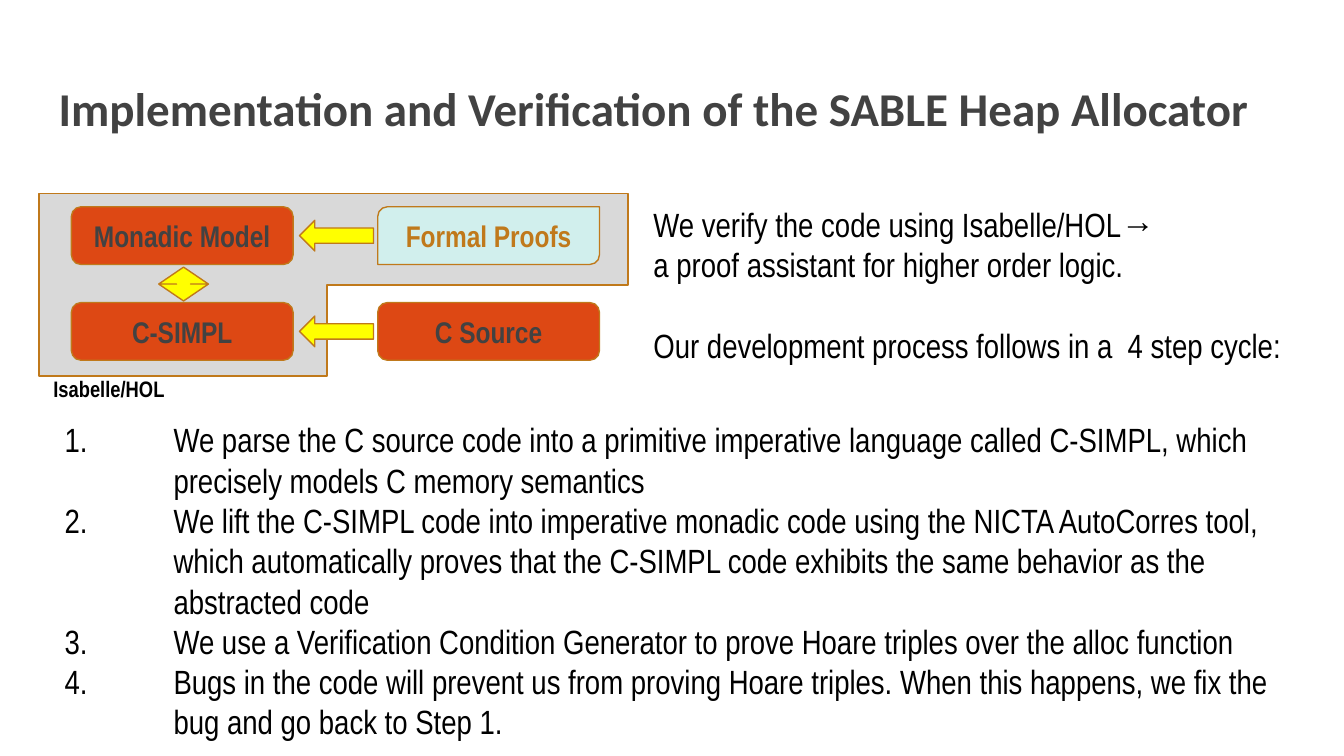
from lxml import etree
from pptx import Presentation
from pptx.dml.color import RGBColor
from pptx.enum.shapes import MSO_SHAPE
from pptx.enum.text import MSO_ANCHOR, PP_ALIGN
from pptx.oxml.ns import qn
from pptx.util import Cm, Pt

ROUNDED = MSO_SHAPE.ROUNDED_RECTANGLE
DIAGONAL = MSO_SHAPE.ROUND_2_DIAG_RECTANGLE
LEFT_ARROW = MSO_SHAPE.LEFT_ARROW
UP_DOWN_ARROW = MSO_SHAPE.UP_DOWN_ARROW
MIDDLE = MSO_ANCHOR.MIDDLE
LEFT, CENTER = PP_ALIGN.LEFT, PP_ALIGN.CENTER

COLORS = {
    "title": "424242",
    "text": "000000",
    "frame": "D9D9D9",
    "outline": "C0791B",
    "model": "DD4814",
    "proof": "D1EFED",
    "arrow": "FFFF00",
}
BODY_FONT = "Arial Narrow"
STEPS = [
    "We parse the C source code into a primitive imperative language called "
    "C-SIMPL, which precisely models C memory semantics",
    "We lift the C-SIMPL code into imperative monadic code using the NICTA "
    "AutoCorres tool, which automatically proves that the C-SIMPL code exhibits "
    "the same behavior as the abstracted code",
    "We use a Verification Condition Generator to prove Hoare triples over the "
    "alloc function",
    "Bugs in the code will prevent us from proving Hoare triples. When this "
    "happens, we fix the bug and go back to Step 1.",
]


def color(name):
    """Return the named colour."""
    return RGBColor.from_string(COLORS[name])


def style_text(paragraph, size, ink="text", bold=False, font=BODY_FONT, align=LEFT):
    """Set the font and alignment of a paragraph."""
    paragraph.alignment = align
    paragraph.font.name = font
    paragraph.font.size = Pt(size)
    paragraph.font.bold = bold
    paragraph.font.color.rgb = color(ink)


def paint(shape, fill):
    """Fill and outline a diagram part."""
    shape.shadow.inherit = False
    shape.fill.solid()
    shape.fill.fore_color.rgb = color(fill)
    shape.line.color.rgb = color("outline")
    shape.line.width = Pt(0.75)


def add_part(slide, kind, left, top, width, height, fill):
    """Add a painted preset shape, measured in centimetres."""
    part = slide.shapes.add_shape(kind, Cm(left), Cm(top), Cm(width), Cm(height))
    paint(part, fill)
    return part


def add_paragraphs(slide, box, texts, size, **style):
    """Add a wrapping text box with one paragraph per text."""
    frame = slide.shapes.add_textbox(*map(Cm, box)).text_frame
    frame.word_wrap = True
    frame.text = "\n".join(texts)
    for paragraph in frame.paragraphs:
        style_text(paragraph, size, **style)
    return frame.paragraphs


def add_title(slide, box):
    """Place and format the slide title."""
    title = slide.shapes.title
    title.left, title.top, title.width, title.height = map(Cm, box)
    frame = title.text_frame
    frame.text = "Implementation and Verification of the SABLE Heap Allocator"
    frame.vertical_anchor = MIDDLE
    frame.margin_left = frame.margin_right = Cm(0.25)
    style_text(frame.paragraphs[0], 25.2, "title", True, "Calibri")


def add_diagram(slide, box):
    """Draw the proof tool frame with its models, sources and arrows."""
    left, top, width, height = box
    stem_width, band_height = 5.44, 1.73
    corners = [
        (width, 0), (width, band_height), (stem_width, band_height),
        (stem_width, height), (0, height),
    ]
    outline = slide.shapes.build_freeform(Cm(left), Cm(top))
    outline.add_line_segments([(Cm(left + x), Cm(top + y)) for x, y in corners])
    paint(outline.convert_to_shape(), "frame")

    node_width, node_height = 4.19, 1.09
    arrow_width, arrow_height = 1.4, 0.58
    columns = [left + 0.61, left + 6.4]
    rows = [top + 0.25, top + 2.06]
    nodes = [
        (0, 0, "Monadic Model", ROUNDED, "model", "title"),
        (1, 0, "Formal Proofs", DIAGONAL, "proof", "outline"),
        (0, 1, "C-SIMPL", ROUNDED, "model", "title"),
        (1, 1, "C Source", ROUNDED, "model", "title"),
    ]
    for column, row, name, kind, fill, ink in nodes:
        node = add_part(slide, kind, columns[column], rows[row],
                        node_width, node_height, fill)
        node.text_frame.text = name
        node.text_frame.vertical_anchor = MIDDLE
        style_text(node.text_frame.paragraphs[0], 16, ink, True, align=CENTER)

    for row_top in rows:
        add_part(slide, LEFT_ARROW, left + 4.92,
                 row_top + (node_height - arrow_height) / 2,
                 arrow_width, arrow_height, "arrow")
    exchange = add_part(slide, UP_DOWN_ARROW, left + 2.26, top + 1.39,
                        0.94, 0.64, "arrow")
    exchange.adjustments[0] = 0.5
    exchange.adjustments[1] = 0.28

    add_paragraphs(slide, (left - 0.1, top + 3.3, 2.84, 0.76),
                   ["Isabelle/HOL"], 12, bold=True, align=CENTER)


def add_summary(slide, box):
    """Write the introduction beside the diagram."""
    lines = [
        "We verify the code using Isabelle/HOL→",
        "a proof assistant for higher order logic.",
        "Our development process follows in a  4 step cycle:",
    ]
    add_paragraphs(slide, box, lines, 18)[-1].space_before = Pt(21.6)


def add_steps(slide, box):
    """Write the numbered steps of the development cycle."""
    for paragraph in add_paragraphs(slide, box, STEPS, 18):
        properties = paragraph._p.get_or_add_pPr()
        properties.set("marL", str(Cm(2.06)))
        properties.set("indent", str(-Cm(2.06)))
        numbering = etree.Element(qn("a:buAutoNum"), type="arabicPeriod")
        properties.insert(0, numbering)


def main():
    """Build and save the slide."""
    deck = Presentation()
    deck.slide_width, deck.slide_height = Cm(25.4), Cm(14.29)
    slide = deck.slides.add_slide(deck.slide_layouts[5])
    add_title(slide, (0.86, 1.24, 23.67, 1.6))
    add_diagram(slide, (0.74, 3.66, 11.13, 3.45))
    add_summary(slide, (12.1, 3.73, 12.5, 3.33))
    add_steps(slide, (0.97, 7.8, 23.8, 6.4))
    deck.save("out.pptx")


if __name__ == "__main__":
    main()
